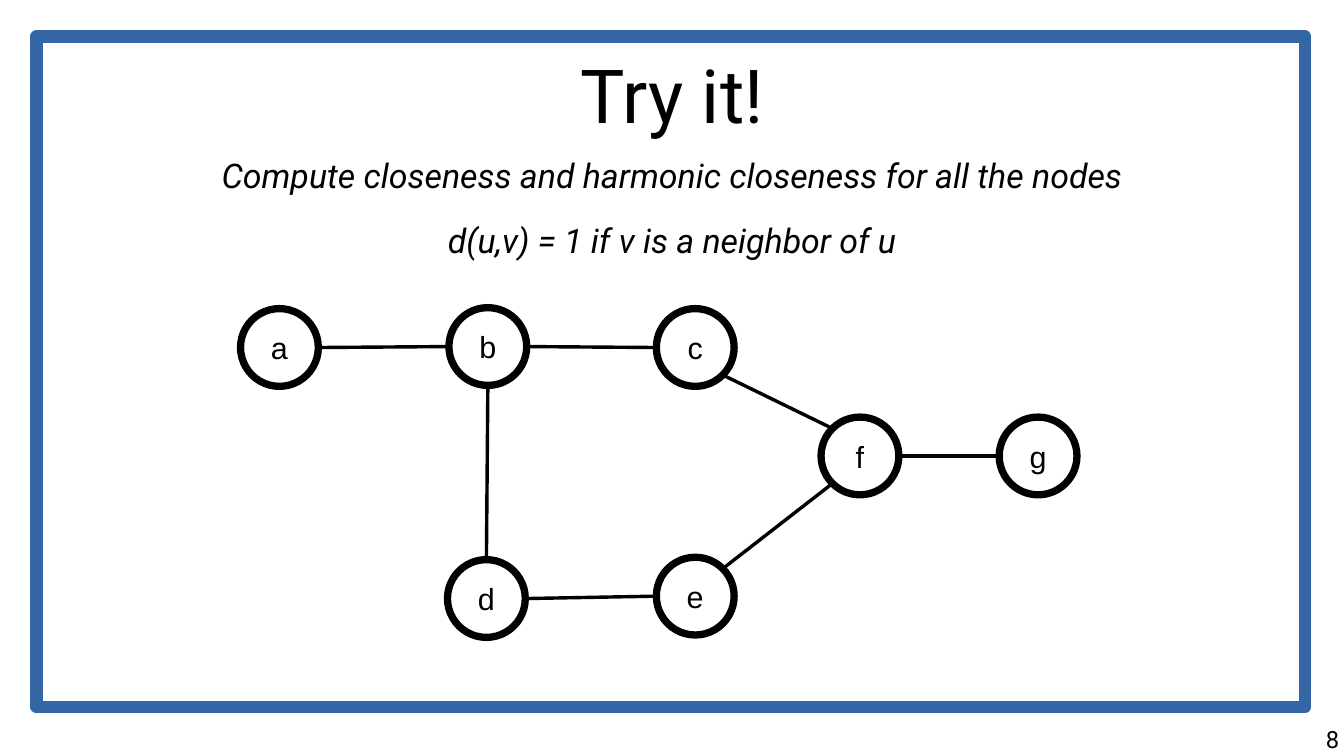
import math
import pptx
import pptx.util
import pptx.dml.color
import pptx.enum.shapes
import pptx.enum.text
import pptx.oxml.ns
import lxml.etree

Cm = pptx.util.Cm
Pt = pptx.util.Pt
Shape = pptx.enum.shapes.MSO_SHAPE
Align = pptx.enum.text.PP_ALIGN
Anchor = pptx.enum.text.MSO_ANCHOR


def tint(text):
    return pptx.dml.color.RGBColor.from_string(text)


def write(frame, lines, align, font, form):
    for name, value in form.items():
        setattr(frame, name, value)
    for i, line in enumerate(lines):
        para = frame.paragraphs[0] if i == 0 else frame.add_paragraph()
        para.text = line
        para.alignment = align
        para.space_before = Pt(14.1 if i else 0)
        for name, value in font.items():
            setattr(para.font, name, value)
        para.font.color.rgb = tint("000000")


deck = pptx.Presentation()
deck.slide_width = Cm(27.99)
deck.slide_height = Cm(15.75)
slide = deck.slides.add_slide(deck.slide_layouts[5])
shapes = slide.shapes

flush = dict.fromkeys(("margin_left", "margin_top", "margin_right", "margin_bottom"), 0)
flush.update(word_wrap=True, auto_size=pptx.enum.text.MSO_AUTO_SIZE.NONE,
             vertical_anchor=Anchor.TOP)

title = shapes.title
place = {"left": 1.4, "top": 0.84, "width": 25.2, "height": 2.21}
for name, value in place.items():
    setattr(title, name, Cm(value))
write(title.text_frame, ["Try it!"], Align.CENTER,
      {"size": Pt(44), "name": "Roboto"}, {**flush, "vertical_anchor": Anchor.MIDDLE})

task = shapes.add_textbox(Cm(1.4), Cm(3.23), Cm(25.2), Cm(1.96))
write(task.text_frame,
      ["Compute closeness and harmonic closeness for all the nodes",
       "d(u,v) = 1 if v is a neighbor of u"],
      Align.CENTER, {"size": Pt(20), "name": "Roboto", "italic": True}, flush)

border = shapes.add_shape(Shape.RECTANGLE, Cm(0.76), Cm(0.76), Cm(26.42), Cm(13.97))
border.shadow.inherit = False
border.fill.background()
border.line.color.rgb = tint("3465A4")
border.line.width = Pt(7.2)
lxml.etree.SubElement(border.line._get_or_add_ln(), pptx.oxml.ns.qn("a:round"))

size = 1.62
nodes = {
    "a": (5.82, 7.24), "b": (10.16, 7.22), "c": (14.48, 7.24), "d": (10.13, 12.47),
    "e": (14.48, 12.42), "f": (17.91, 9.5), "g": (21.62, 9.5),
}
inner = {
    "margin_left": Cm(0.33), "margin_right": Cm(0.33),
    "margin_top": Cm(0.2), "margin_bottom": Cm(0.2),
    "word_wrap": False, "vertical_anchor": Anchor.MIDDLE,
}
for label, (x, y) in nodes.items():
    node = shapes.add_shape(Shape.OVAL, Cm(x - size / 2), Cm(y - size / 2), Cm(size), Cm(size))
    node.shadow.inherit = False
    node.fill.solid()
    node.fill.fore_color.rgb = tint("FFFFFF")
    node.line.color.rgb = tint("000000")
    node.line.width = Pt(4.31)
    write(node.text_frame, [label], Align.CENTER, {"size": Pt(18), "name": "Arial"}, inner)

edges = [("a", "b", 0), ("b", "c", 0), ("b", "d", 90), ("d", "e", 0),
         ("e", "f", -45), ("c", "f", 45), ("f", "g", 0)]
for start, end, angle in edges:
    dx = size / 2 * math.cos(math.radians(angle))
    dy = size / 2 * math.sin(math.radians(angle))
    (x1, y1), (x2, y2) = nodes[start], nodes[end]
    edge = shapes.add_connector(pptx.enum.shapes.MSO_CONNECTOR.STRAIGHT,
                                Cm(x1 + dx), Cm(y1 + dy), Cm(x2 - dx), Cm(y2 - dy))
    edge.line.color.rgb = tint("000000")
    edge.line.width = Pt(0)
    lxml.etree.SubElement(edge._element.spPr, pptx.oxml.ns.qn("a:effectLst"))

page = shapes.add_textbox(Cm(21.36), Cm(15.11), Cm(6.53), Cm(0.64))
write(page.text_frame, ["8"], Align.RIGHT, {"size": Pt(14), "name": "Roboto"}, flush)

deck.save("out.pptx")
